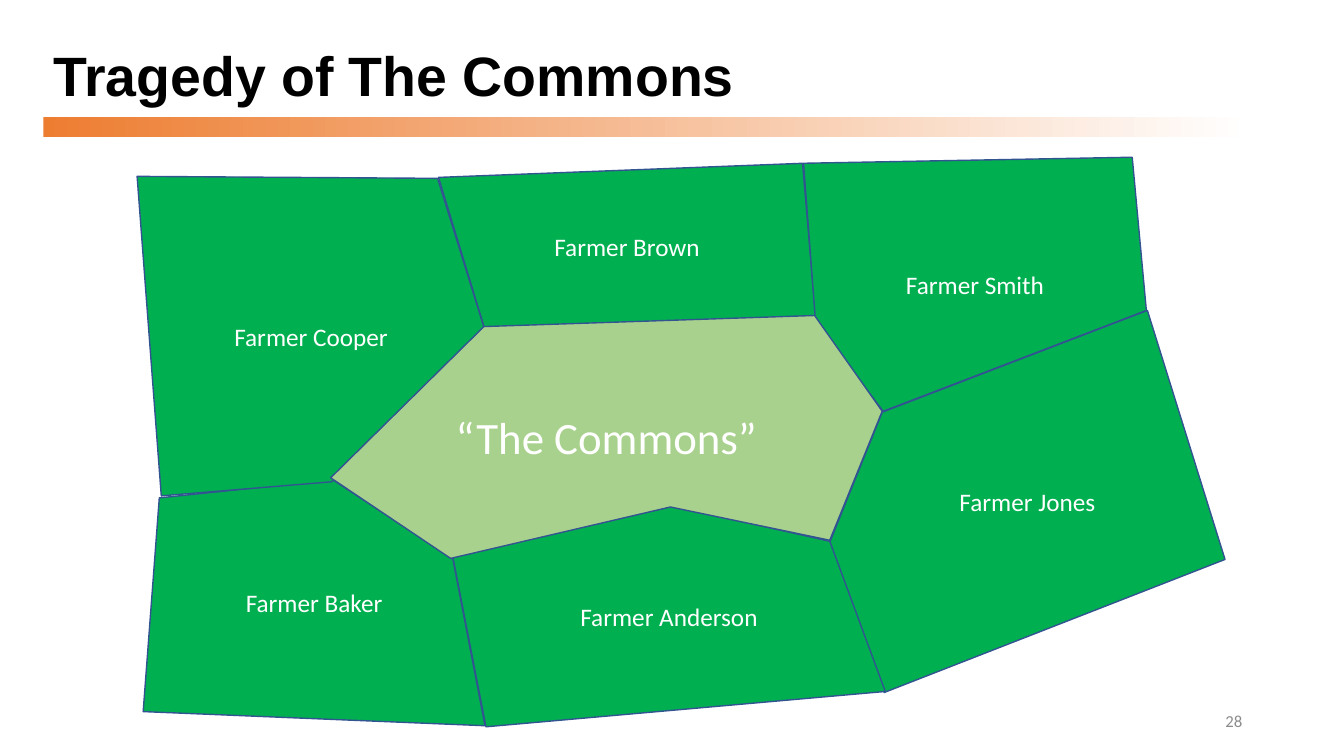
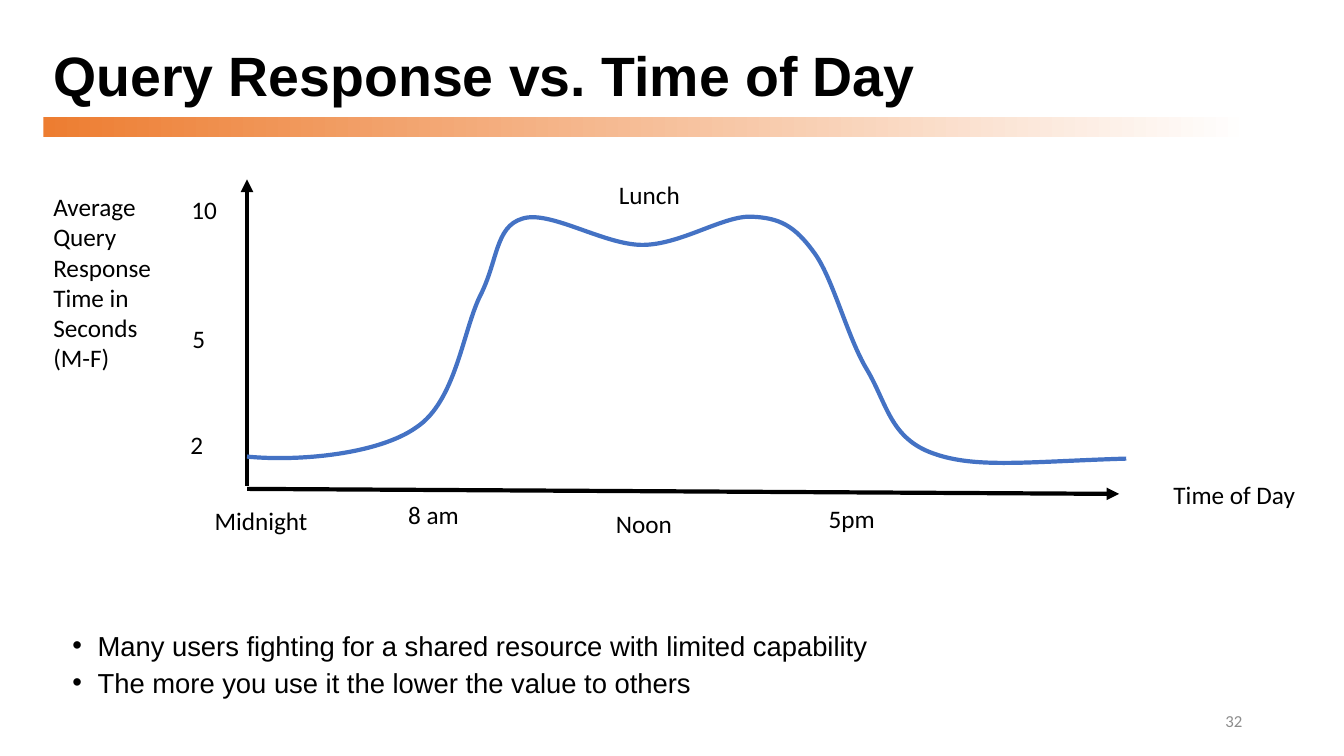
from dataclasses import dataclass

from lxml import etree
from pptx import Presentation
from pptx.dml.color import RGBColor
from pptx.enum.shapes import MSO_CONNECTOR, MSO_SHAPE
from pptx.enum.text import MSO_ANCHOR, MSO_AUTO_SIZE, PP_ALIGN
from pptx.oxml.ns import qn
from pptx.presentation import Presentation as Deck
from pptx.shapes.autoshape import Shape
from pptx.slide import Slide
from pptx.text.text import TextFrame, _Paragraph
from pptx.util import Pt

PX = 9144
TITLE_ONLY = 5

LEFT, CENTER, RIGHT = PP_ALIGN.LEFT, PP_ALIGN.CENTER, PP_ALIGN.RIGHT
MIDDLE = MSO_ANCHOR.MIDDLE
NO_FIT, GROW = MSO_AUTO_SIZE.NONE, MSO_AUTO_SIZE.SHAPE_TO_FIT_TEXT
RECTANGLE = MSO_SHAPE.RECTANGLE
STRAIGHT = MSO_CONNECTOR.STRAIGHT

BLACK = RGBColor(0x00, 0x00, 0x00)
WHITE = RGBColor(0xFF, 0xFF, 0xFF)
GRAY = RGBColor(0x8C, 0x8C, 0x8C)
ORANGE = RGBColor(0xED, 0x7D, 0x31)
FIELD_GREEN = RGBColor(0x00, 0xB0, 0x50)
COMMONS_GREEN = RGBColor(0xA9, 0xD1, 0x8E)
BORDER_BLUE = RGBColor(0x32, 0x54, 0x91)
CURVE_BLUE = RGBColor(0x44, 0x72, 0xC4)

HEADING_FONT = "Arial"
LABEL_FONT = "Calibri"

Point = tuple[int, int]


@dataclass(frozen=True)
class Box:
    left: int
    top: int
    width: int
    height: int

    def emu(self) -> tuple[int, int, int, int]:
        return self.left * PX, self.top * PX, self.width * PX, self.height * PX


@dataclass(frozen=True)
class TextStyle:
    font: str
    size: float
    color: RGBColor
    bold: bool = False


@dataclass(frozen=True)
class Plot:
    name: str
    corners: list[Point]
    color: RGBColor = FIELD_GREEN
    size: int = 18


@dataclass(frozen=True)
class Label:
    paragraphs: list[list[str]]
    box: Box


@dataclass(frozen=True)
class Curve:
    control_out: Point
    control_in: Point
    end: Point


TITLE_BOX = Box(43, 40, 1198, 76)
BAND_BOX = Box(43, 116, 1198, 20)
NUMBER_BOX = Box(942, 695, 300, 40)
BULLET_BOX = Box(62, 628, 916, 76)

TITLE_STYLE = TextStyle(HEADING_FONT, 39.6, BLACK, True)
NUMBER_STYLE = TextStyle(LABEL_FONT, 12, GRAY)
BULLET_STYLE = TextStyle(HEADING_FONT, 19.6, BLACK)
LABEL_STYLE = TextStyle(LABEL_FONT, 18, BLACK)

PLOTS = [
    Plot("Farmer Brown", [(435, 176), (796, 162), (809, 314), (481, 327)]),
    Plot("Farmer Smith", [(797, 162), (1123, 156), (1137, 308), (876, 408), (809, 320)]),
    Plot("Farmer Jones", [(875, 409), (1138, 308), (1215, 555), (877, 687), (823, 538)]),
    Plot("Farmer Anderson", [(668, 502), (823, 537), (878, 686), (482, 721), (449, 552)]),
    Plot("Farmer Baker", [(330, 476), (449, 554), (481, 720), (142, 706), (158, 494)]),
    Plot("Farmer Cooper", [(434, 177), (481, 328), (329, 478), (160, 492), (136, 175)]),
    Plot(
        "“The Commons”",
        [(480, 324), (808, 313), (875, 408), (823, 536), (665, 503), (447, 554), (328, 474)],
        COMMONS_GREEN,
        32,
    ),
]

AXES = [((245, 482), (245, 178)), ((245, 485), (1110, 490))]

LABELS = [
    Label(
        [["Average"], ["Query", "Response", "Time in"], ["Seconds"], ["(M-F)"]],
        Box(43, 185, 118, 192),
    ),
    Label([["Time of Day"]], Box(1154, 471, 142, 40)),
    Label([["Noon"]], Box(601, 499, 76, 40)),
    Label([["8 am"]], Box(395, 490, 71, 40)),
    Label([["5pm"]], Box(812, 494, 66, 40)),
    Label([["Midnight"]], Box(203, 496, 113, 40)),
    Label([["5"]], Box(181, 316, 33, 40)),
    Label([["10"]], Box(180, 188, 46, 40)),
    Label([["2"]], Box(179, 421, 33, 40)),
    Label([["Lunch"]], Box(604, 173, 82, 40)),
]

CURVE_START = (245, 453)
CURVES = [
    Curve((295, 458), (375, 451), (413, 424)),
    Curve((452, 398), (459, 329), (476, 294)),
    Curve((494, 259), (491, 225), (518, 217)),
    Curve((545, 208), (599, 243), (637, 243)),
    Curve((675, 243), (717, 214), (745, 215)),
    Curve((773, 216), (788, 224), (807, 250)),
    Curve((826, 275), (840, 334), (860, 367)),
    Curve((880, 401), (883, 435), (926, 450)),
    Curve((968, 465), (1020, 458), (1117, 455)),
]

BULLETS = [
    "Many users fighting for a shared resource with limited capability",
    "The more you use it the lower the value to others",
]


def add_run(paragraph: _Paragraph, text: str, style: TextStyle) -> None:
    run = paragraph.add_run()
    run.text = text
    run.font.name = style.font
    run.font.size = Pt(style.size)
    run.font.bold = style.bold
    run.font.color.rgb = style.color


def paragraph_at(frame: TextFrame, index: int) -> _Paragraph:
    return frame.paragraphs[0] if index == 0 else frame.add_paragraph()


def add_text_box(slide: Slide, box: Box, wrap: bool = True) -> TextFrame:
    frame = slide.shapes.add_textbox(*box.emu()).text_frame
    frame.word_wrap = wrap
    frame.auto_size = NO_FIT if wrap else GROW
    return frame


def add_title(slide: Slide, text: str) -> None:
    title = slide.shapes.title
    title.left, title.top, title.width, title.height = TITLE_BOX.emu()
    frame = title.text_frame
    frame.auto_size = NO_FIT
    frame.vertical_anchor = MIDDLE
    paragraph = frame.paragraphs[0]
    paragraph.alignment = LEFT
    paragraph.line_spacing = 0.9
    add_run(paragraph, text, TITLE_STYLE)


def add_band(slide: Slide) -> None:
    band = slide.shapes.add_shape(RECTANGLE, *BAND_BOX.emu())
    band.shadow.inherit = False
    band.line.fill.background()
    band.fill.gradient()
    band.fill.gradient_angle = 0
    for stop, color in zip(band.fill.gradient_stops, (ORANGE, WHITE)):
        stop.color.rgb = color


def add_slide(presentation: Deck, title: str, number: int) -> Slide:
    slide = presentation.slides.add_slide(presentation.slide_layouts[TITLE_ONLY])
    add_band(slide)
    add_title(slide, title)
    frame = add_text_box(slide, NUMBER_BOX)
    frame.vertical_anchor = MIDDLE
    frame.paragraphs[0].alignment = RIGHT
    add_run(frame.paragraphs[0], str(number), NUMBER_STYLE)
    return slide


def add_outline(slide: Slide, points: list[Point], close: bool) -> Shape:
    builder = slide.shapes.build_freeform(*points[0], scale=PX)
    builder.add_line_segments(points[1:], close=close)
    shape = builder.convert_to_shape()
    shape.shadow.inherit = False
    return shape


def add_plot(slide: Slide, plot: Plot) -> None:
    shape = add_outline(slide, plot.corners, True)
    shape.fill.solid()
    shape.fill.fore_color.rgb = plot.color
    shape.line.color.rgb = BORDER_BLUE
    shape.line.width = Pt(1)
    frame = shape.text_frame
    frame.word_wrap = True
    frame.vertical_anchor = MIDDLE
    frame.paragraphs[0].alignment = CENTER
    add_run(frame.paragraphs[0], plot.name, TextStyle(LABEL_FONT, plot.size, WHITE))


def add_axis(slide: Slide, start: Point, end: Point) -> None:
    ends = [value * PX for value in start + end]
    axis = slide.shapes.add_connector(STRAIGHT, *ends)
    axis.line.color.rgb = BLACK
    axis.line.width = Pt(3)
    etree.SubElement(axis.line._get_or_add_ln(), qn("a:tailEnd"), type="triangle")
    etree.SubElement(axis._element.spPr, qn("a:effectLst"))


def add_response_curve(slide: Slide) -> None:
    anchors = [CURVE_START] + [curve.end for curve in CURVES]
    left = min(x for x, _ in anchors)
    top = min(y for _, y in anchors)
    shape = add_outline(slide, anchors, False)
    shape.fill.background()
    shape.line.color.rgb = CURVE_BLUE
    shape.line.width = Pt(3)
    segments = list(shape._element.iter(qn("a:lnTo")))
    for segment, curve in zip(segments, CURVES):
        bezier = etree.Element(qn("a:cubicBezTo"))
        for x, y in (curve.control_out, curve.control_in, curve.end):
            etree.SubElement(bezier, qn("a:pt"), x=str(x - left), y=str(y - top))
        segment.getparent().replace(segment, bezier)


def add_label(slide: Slide, label: Label) -> None:
    frame = add_text_box(slide, label.box, wrap=False)
    for index, lines in enumerate(label.paragraphs):
        paragraph = paragraph_at(frame, index)
        for line_index, line in enumerate(lines):
            if line_index:
                paragraph.add_line_break()
            add_run(paragraph, line, LABEL_STYLE)


def add_bullets(slide: Slide) -> None:
    frame = add_text_box(slide, BULLET_BOX)
    for index, text in enumerate(BULLETS):
        paragraph = paragraph_at(frame, index)
        paragraph.line_spacing = 0.7
        if index:
            paragraph.space_before = Pt(10)
        properties = paragraph._p.get_or_add_pPr()
        properties.set("marL", str(25 * PX))
        properties.set("indent", str(-25 * PX))
        etree.SubElement(properties, qn("a:buFont"), typeface=HEADING_FONT)
        etree.SubElement(properties, qn("a:buChar"), char="•")
        add_run(paragraph, text, BULLET_STYLE)


def main() -> None:
    presentation = Presentation()
    presentation.slide_width = 1333 * PX
    presentation.slide_height = 750 * PX

    commons_slide = add_slide(presentation, "Tragedy of The Commons", 28)
    for plot in PLOTS:
        add_plot(commons_slide, plot)

    response_slide = add_slide(presentation, "Query Response vs. Time of Day", 32)
    add_bullets(response_slide)
    for start, end in AXES:
        add_axis(response_slide, start, end)
    add_response_curve(response_slide)
    for label in LABELS:
        add_label(response_slide, label)

    presentation.save("out.pptx")


if __name__ == "__main__":
    main()
